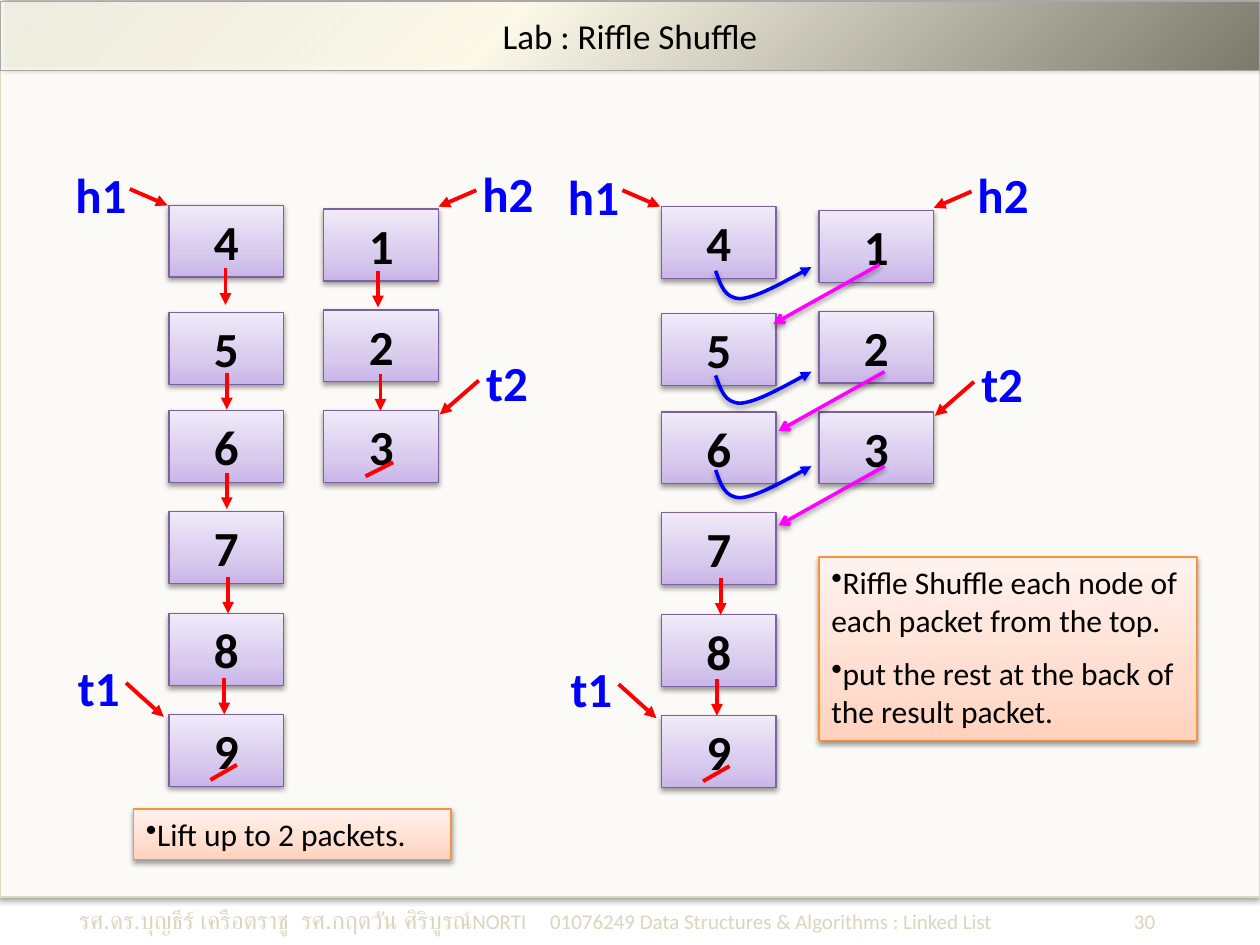
"""Build the riffle shuffle slide on a grid of 100 columns by 75 rows."""
from lxml.etree import SubElement
from pptx import Presentation
from pptx.dml.color import RGBColor
from pptx.enum.shapes import MSO_CONNECTOR, MSO_SHAPE
from pptx.enum.text import MSO_ANCHOR, MSO_AUTO_SIZE, PP_ALIGN
from pptx.oxml.ns import qn
from pptx.util import Inches, Pt

RED, BLUE, PINK, BLACK = "FF0000", "0000FF", "FF00FF", "000000"
SOFT = (38, 3.1, 1.6, 90)
NODE = dict(fill=[(0, "C9B5E8", 100), (35, "D8CBEE", 100), (100, "F0EAF9", 100)],
            edge="7D60A0")
NOTE = dict(fill=[(0, "FFD2BD", 100), (35, "FFDED0", 100), (100, "FFF2ED", 100)],
            edge="F69240")
HEAD = dict(fill=[(0, "FEFCEE", 79), (40, "FDFAEA", 100), (100, "7B796B", 100)],
            edge="A6A6A6", angle=315, shade=(40, 4, 3, 315))


def hue(code):
    """Turn a hex string into a colour."""
    return RGBColor.from_string(code)


def node(root, tag, **attrs):
    """Add an XML child with the given attributes."""
    return SubElement(root, qn(tag), {k: str(v) for k, v in attrs.items()})


def tint(root, code, alpha):
    """Add a colour with an opacity in percent."""
    color = node(root, "a:srgbClr", val=code)
    if alpha < 100:
        node(color, "a:alpha", val=alpha * 1000)


def write(shape, text, size=18, font="Calibri", color=BLACK, bold=False,
          align=PP_ALIGN.LEFT, anchor=MSO_ANCHOR.TOP, grow=True,
          bullet=False, tabs=()):
    """Fill a shape with lines of text; a line may be a list of runs."""
    frame = shape.text_frame
    frame.word_wrap = True
    frame.vertical_anchor = anchor
    frame.auto_size = MSO_AUTO_SIZE.SHAPE_TO_FIT_TEXT if grow else MSO_AUTO_SIZE.NONE
    for i, line in enumerate([text] if isinstance(text, str) else text):
        para = frame.add_paragraph() if i else frame.paragraphs[0]
        para.alignment = align
        if i:
            para.space_before = Pt(size / 2)
        props = para._p.get_or_add_pPr()
        if bullet:
            props.set("marL", "0")
            props.set("indent", "0")
            node(props, "a:buChar", char="•")
        if tabs:
            stops = node(props, "a:tabLst")
            for place, kind in tabs:
                node(stops, "a:tab", pos=Inches(place), algn=kind)
        for part, points, face in ([(line, size, font)] if isinstance(line, str) else line):
            run = para.add_run()
            run.text = part
            run.font.size = Pt(points)
            run.font.name = face
            run.font.bold = bold
            run.font.color.rgb = hue(color)


class Board:
    """Hold the style and the slide, and draw on its grid."""

    def __init__(self):
        """Start a deck with one blank slide."""
        self.deck = Presentation()
        self.deck.slide_width, self.deck.slide_height = Inches(10), Inches(7.5)
        self.col = self.deck.slide_width / 100
        self.row = self.deck.slide_height / 75
        self.shapes = self.deck.slides.add_slide(self.deck.slide_layouts[6]).shapes

    def span(self, *cells):
        """Turn column and row pairs into lengths."""
        return [round(c * (self.row if i % 2 else self.col)) for i, c in enumerate(cells)]

    def shade(self, shape, cast=None):
        """Set the shadow, or none."""
        root = node(shape.element.spPr, "a:effectLst")
        if cast:
            alpha, blur, dist, turn = cast
            drop = node(root, "a:outerShdw", blurRad=Pt(blur), dist=Pt(dist),
                        dir=turn * 60000, rotWithShape=0)
            tint(drop, BLACK, alpha)

    def stroke(self, shape, color, width, tip=None):
        """Set a line and its arrowhead."""
        shape.line.color.rgb = hue(color)
        shape.line.width = Pt(width)
        if tip:
            node(shape.line._get_or_add_ln(), "a:tailEnd", type=tip)

    def box(self, *cells, fill, edge, angle=90, shade=SOFT):
        """Draw a filled rectangle."""
        shape = self.shapes.add_shape(MSO_SHAPE.RECTANGLE, *self.span(*cells))
        if isinstance(fill, str):
            shape.fill.solid()
            shape.fill.fore_color.rgb = hue(fill)
        else:
            shape.fill.gradient()
            shape.fill.gradient_angle = angle
            stops = shape.element.spPr.find(".//" + qn("a:gsLst"))
            for stop in list(stops):
                stops.remove(stop)
            for place, code, alpha in fill:
                tint(node(stops, "a:gs", pos=place * 1000), code, alpha)
        self.stroke(shape, edge, 0.75)
        self.shade(shape, shade)
        return shape

    def text(self, *cells):
        """Place a text box."""
        return self.shapes.add_textbox(*self.span(*cells))

    def line(self, *cells, color=RED, width=2.25, tip="triangle", shade=None):
        """Draw a line or an arrow."""
        shape = self.shapes.add_connector(MSO_CONNECTOR.STRAIGHT, *self.span(*cells))
        self.stroke(shape, color, width, tip)
        self.shade(shape, shade)

    def hook(self, x, y):
        """Draw a curved arrow between neighbour nodes."""
        pen = self.shapes.build_freeform(0, 3, scale=self.col / 10)
        pen.add_line_segments([(20, 25), (76, 0)], close=False)
        shape = pen.convert_to_shape(*self.span(x, y))
        bends = [[(4, 14), (7, 25)], [(32, 24), (54, 12)]]
        for leg, bend in zip(list(shape.element.iter(qn("a:lnTo"))), bends):
            leg.tag = qn("a:cubicBezTo")
            end = leg[0]
            for a, b in bend:
                end.addprevious(node(leg, "a:pt", x=a, y=b))
        shape.fill.background()
        self.stroke(shape, BLUE, 2, "triangle")
        self.shade(shape, SOFT)

    def tag(self, text, x, y):
        """Name a pointer."""
        write(self.text(x, y, 7.4, 5.7), text, size=28, color=BLUE, bold=True)

    def stack(self, x, tops, words):
        """Draw a column of list nodes."""
        for y, word in zip(tops, words):
            write(self.box(x, y, 9.1, 5.7, **NODE), word, size=28, bold=True,
                  align=PP_ALIGN.CENTER)

    def links(self, spots, dx, dy):
        """Draw short arrows down."""
        for x, y in spots:
            self.line(x + dx, y + dy, x + dx, y + dy + 2.9)


board = Board()
board.box(0, 5.2, 100, 66, fill="FBFAF7", edge="DDD9C3")
foot = [("รศ.ดร.บุญธีร์ เครือตราชู  รศ.กฤตวัน ศิริบูรณ์", 14, "Roboto"),
        ("\tNORTI     01076249 Data Structures & Algorithms : Linked List", 12, "Calibri"),
        ("\t", 16, "Calibri"), ("30", 12, "Calibri")]
write(board.text(5.3, 71.1, 89.8, 3.7), [foot], color="DAD5BC",
      tabs=[(4.32, "dec"), (8.54, "r")])
write(board.box(0, 0.1, 100, 5.5, **HEAD), "Lab : Riffle Shuffle", size=20,
      align=PP_ALIGN.CENTER, anchor=MSO_ANCHOR.MIDDLE, grow=False)

long = [(17.9, 21.3), (18, 29.6), (18, 37.5), (18.1, 45.8), (17.8, 53.8)]
for dx, ex, dy, first in [(0, 0, 0, 0), (39.1, 39.3, 0.1, 3)]:
    board.stack(13.4 + dx, [y + dy for y in (16.3, 24.8, 32.6, 40.6, 48.7, 56.7)], "456789")
    board.stack(25.7 + ex, [16.6 + dy + 8 * i for i in range(3)], "123")
    board.links(long[first:], dx, dy)
    board.line(16.7 + dx, 61.9 + dy, 18.8 + dx, 60.7 + dy, tip=None)
    for name, x, y in [("h1", 5 + dx, 12.6), ("t1", 5.2 + dx, 51.7),
                       ("h2", 37.3 + ex, 12.5), ("t2", 37.6 + ex, 27.5)]:
        board.tag(name, x, y + dy)
    for x, y, u, v in [(10.3 + dx, 15, 3, 1.3), (10 + dx, 54.2, 3, 2.7),
                       (37.8 + ex, 15.1, -3, 1.3), (38 + ex, 30.2, -3.1, 2.7)]:
        board.line(x, y + dy, x + u, y + dy + v)

board.links([(30, 21.5), (30.2, 29.7)], 0, 0)
board.line(29, 37.8, 31.2, 36.7, tip=None)
for y in (21.2, 29.5, 37):
    board.hook(56.8, y)
for x, y in [(69.8, 21), (70.2, 29.5), (70.2, 37)]:
    board.line(x, y, x - 8.4, y + 4.7, color=PINK, width=2, tip="arrow", shade=SOFT)

write(board.box(65, 44.2, 30, 14.6, **NOTE),
      ["Riffle Shuffle each node of each packet from the top.",
       "put the rest at the back of the result packet."], bullet=True)
write(board.box(10.6, 64.2, 25.2, 4, **NOTE), "Lift up to 2 packets.", bullet=True)
board.deck.save("out.pptx")
